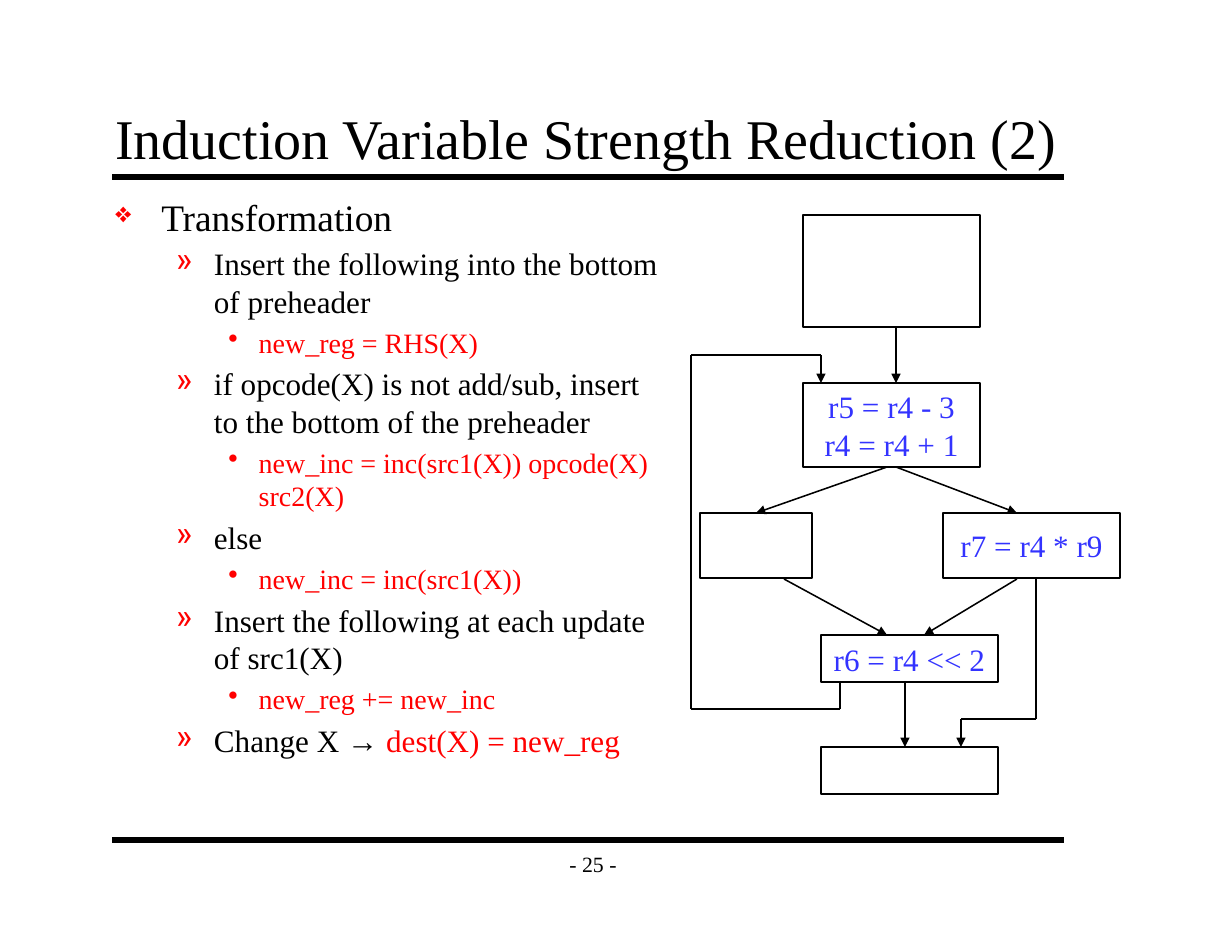
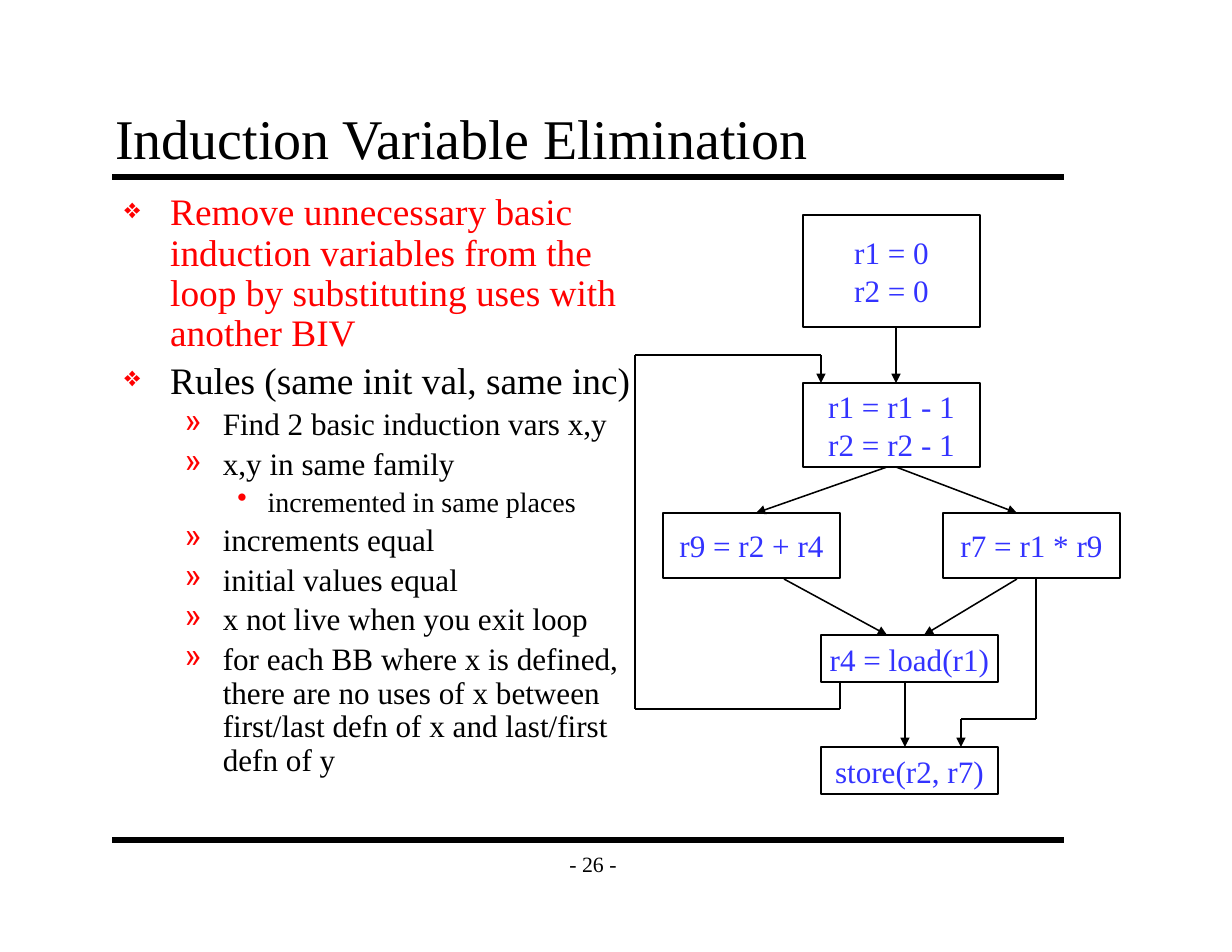
"""Builds two slides on induction variable optimization."""
import itertools

import pptx
import pptx.dml.color
import pptx.enum.shapes
import pptx.enum.text
import pptx.oxml.ns
import pptx.util
from lxml import etree

Inches, Pt = pptx.util.Inches, pptx.util.Pt
RGB = pptx.dml.color.RGBColor
ALIGN, ANCHOR = pptx.enum.text.PP_ALIGN, pptx.enum.text.MSO_ANCHOR
qn = pptx.oxml.ns.qn

BLACK = RGB(0, 0, 0)
RED = RGB(0xFF, 0, 0)
BLUE = RGB(0x33, 0x33, 0xFF)
FONT = "Times New Roman"

LEVELS = [
    {"size": 24, "left": 0.41, "hang": 0.41, "mark": "❖", "scale": 75},
    {"size": 20, "left": 0.88, "hang": 0.34, "mark": "»", "scale": 100},
    {"size": 18, "left": 1.28, "hang": 0.27, "mark": "•", "scale": 100},
]

SLIDES = [
    {
        "title": "Induction Variable Strength Reduction (2)",
        "width": 8.83,
        "page": 25,
        "body": (0.92, 1.67, 5.08, 5.7),
        "space": 1.0,
        "items": [
            (0, [("Transformation", BLACK)]),
            (1, [("Insert the following into the bottom of preheader", BLACK)]),
            (2, [("new_reg = RHS(X)", RED)]),
            (1, [("if opcode(X) is not add/sub, insert to the bottom of the preheader", BLACK)]),
            (2, [("new_inc = inc(src1(X)) opcode(X) src2(X)", RED)]),
            (1, [("else", BLACK)]),
            (2, [("new_inc = inc(src1(X))", RED)]),
            (1, [("Insert the following at each update of src1(X)", BLACK)]),
            (2, [("new_reg += new_inc", RED)]),
            (1, [("Change X → ", BLACK), ("dest(X) = new_reg", RED)]),
        ],
        "blocks": [[], ["r5 = r4 - 3", "r4 = r4 + 1"], [], ["r7 = r4 * r9"],
                   ["r6 = r4 << 2"], []],
        "left": (6.25, 1),
        "loop": 6.17,
    },
    {
        "title": "Induction Variable Elimination",
        "width": 8.5,
        "page": 26,
        "body": (1, 1.67, 4.83, 5.7),
        "space": 0.9,
        "items": [
            (0, [("Remove unnecessary basic induction variables from the loop "
                  "by substituting uses with another BIV", RED)]),
            (0, [("Rules (same init val, same inc)", BLACK)]),
            (1, [("Find 2 basic induction vars x,y", BLACK)]),
            (1, [("x,y in same family", BLACK)]),
            (2, [("incremented in same places", BLACK)]),
            (1, [("increments equal", BLACK)]),
            (1, [("initial values equal", BLACK)]),
            (1, [("x not live when you exit loop", BLACK)]),
            (1, [("for each BB where x is defined, there are no uses of x between "
                  "first/last defn of x and last/first defn of y", BLACK)]),
        ],
        "blocks": [["r1 = 0", "r2 = 0"], ["r1 = r1 - 1", "r2 = r2 - 1"],
                   ["r9 = r2 + r4"], ["r7 = r1 * r9"], ["r4 = load(r1)"],
                   ["store(r2, r7)"]],
        "left": (5.92, 1.58),
        "loop": 5.67,
    },
]

FLOWS = [
    [(8, 2.92), (8, 3.42)],
    [(7.92, 4.17), (6.75, 4.58)],
    [(8, 4.17), (9.08, 4.58)],
    [(7, 5.17), (7.92, 5.67)],
    [(9.08, 5.17), (8.25, 5.67)],
    [(8.08, 6.08), (8.08, 6.67)],
    [(9.25, 5.17), (9.25, 6.42), (8.58, 6.42), (8.58, 6.67)],
]


def place(shape, spot):
    shape.left, shape.top, shape.width, shape.height = map(Inches, spot)


def setup(frame, anchor, wrap=True, inset=(0.11, 0.06)):
    frame.word_wrap = wrap
    frame.auto_size = pptx.enum.text.MSO_AUTO_SIZE.NONE
    frame.vertical_anchor = anchor
    frame.margin_left = frame.margin_right = Inches(inset[0])
    frame.margin_top = frame.margin_bottom = Inches(inset[1])


def write(para, text, size, color=BLACK):
    run = para.add_run()
    run.text = text
    run.font.name = FONT
    run.font.size = Pt(size)
    run.font.color.rgb = color


def add_line(slide, start, end, width=1, arrow=False):
    kind = pptx.enum.shapes.MSO_CONNECTOR.STRAIGHT
    line = slide.shapes.add_connector(kind, *map(Inches, start + end))
    line.line.color.rgb = BLACK
    line.line.width = Pt(width)
    props = line._element.spPr
    if arrow:
        etree.SubElement(props.find(qn("a:ln")), qn("a:tailEnd"), type="triangle")
    etree.SubElement(props, qn("a:effectLst"))
    return line


def add_frame(slide, data):
    title = slide.shapes.title
    place(title, (0.92, 0.91, data["width"], 0.67))
    setup(title.text_frame, ANCHOR.BOTTOM)
    para = title.text_frame.paragraphs[0]
    para.alignment = ALIGN.LEFT
    write(para, data["title"], 36)
    for y in (1.58, 7.5):
        add_line(slide, (1, y), (9.5, y), 4)
    foot = slide.shapes.add_textbox(*map(Inches, (4.92, 7.5, 0.75, 0.42)))
    setup(foot.text_frame, ANCHOR.MIDDLE, False)
    para = foot.text_frame.paragraphs[0]
    para.alignment = ALIGN.CENTER
    write(para, f"- {data['page']} -", 14)


def add_mark(para, level):
    props = para._p.get_or_add_pPr()
    props.set("marL", str(Inches(level["left"])))
    props.set("indent", str(-Inches(level["hang"])))
    tint = etree.SubElement(props, qn("a:buClr"))
    etree.SubElement(tint, qn("a:srgbClr"), val=str(RED))
    etree.SubElement(props, qn("a:buSzPct"), val=str(level["scale"] * 1000))
    etree.SubElement(props, qn("a:buChar"), char=level["mark"])


def add_body(slide, data):
    frame = slide.shapes.add_textbox(*map(Inches, data["body"])).text_frame
    setup(frame, ANCHOR.TOP)
    for i, (depth, runs) in enumerate(data["items"]):
        para = frame.add_paragraph() if i else frame.paragraphs[0]
        level = LEVELS[depth]
        para.level = depth
        add_mark(para, level)
        para.line_spacing = data["space"]
        para.space_before = Pt(level["size"] * 0.2 if i else 0)
        for text, color in runs:
            write(para, text, level["size"], color)


def add_block(slide, spot, lines):
    kind = pptx.enum.shapes.MSO_SHAPE.RECTANGLE
    block = slide.shapes.add_shape(kind, *map(Inches, spot))
    block.shadow.inherit = False
    block.fill.background()
    block.line.color.rgb = BLACK
    block.line.width = Pt(1)
    frame = block.text_frame
    setup(frame, ANCHOR.MIDDLE, False, (0.1, 0.05))
    for i, text in enumerate(lines):
        para = frame.add_paragraph() if i else frame.paragraphs[0]
        para.alignment = ALIGN.CENTER
        write(para, text, 20, BLUE)
    return block


def find_side(blocks, point):
    x, y = map(Inches, point)
    near = Inches(0.015)
    for block in blocks:
        if abs(block.left + block.width / 2 - x) < near:
            for side, edge in ((0, block.top), (2, block.top + block.height)):
                if abs(edge - y) < near:
                    return block, side
    return None


def add_graph(slide, data):
    left, width = data["left"]
    spots = [(7.17, 1.92, 1.58, 1), (7.17, 3.42, 1.58, 0.75),
             (left, 4.58, width, 0.58), (8.42, 4.58, 1.58, 0.58),
             (7.33, 5.67, 1.58, 0.42), (7.33, 6.67, 1.58, 0.42)]
    blocks = [add_block(slide, *pair) for pair in zip(spots, data["blocks"])]
    x = data["loop"]
    back = [(7.5, 6.08), (7.5, 6.33), (x, 6.33), (x, 3.17), (7.33, 3.17), (7.33, 3.42)]
    for flow in FLOWS + [back]:
        for start, end in itertools.pairwise(flow):
            line = add_line(slide, start, end, arrow=end == flow[-1])
            head, tail = find_side(blocks, start), find_side(blocks, end)
            if head:
                line.begin_connect(*head)
            if tail:
                line.end_connect(*tail)


def main():
    deck = pptx.Presentation()
    deck.slide_width, deck.slide_height = Inches(11), Inches(8.5)
    for data in SLIDES:
        slide = deck.slides.add_slide(deck.slide_layouts[5])
        add_frame(slide, data)
        add_body(slide, data)
        add_graph(slide, data)
    deck.save("out.pptx")


if __name__ == "__main__":
    main()
